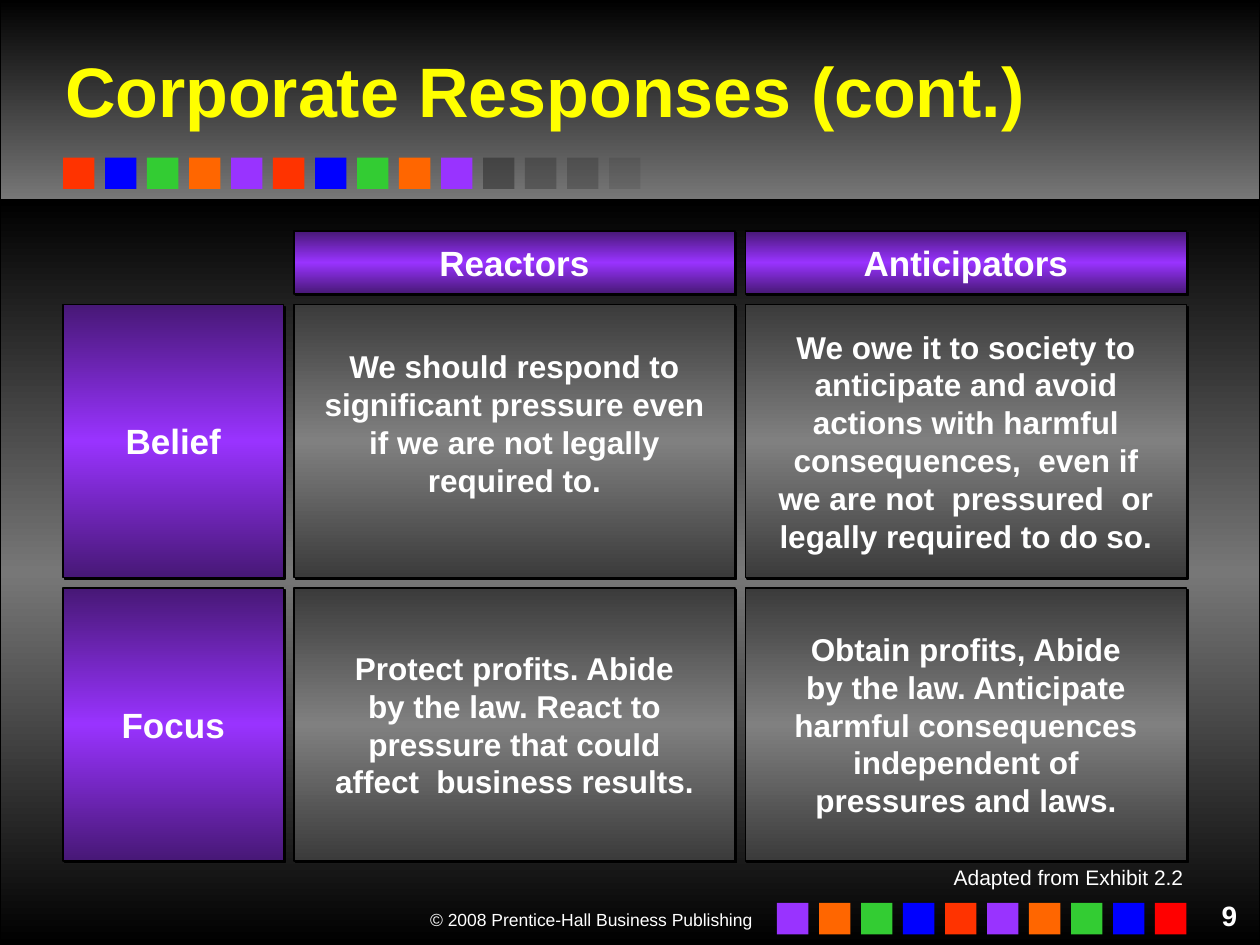
from dataclasses import dataclass

from lxml.etree import SubElement
from pptx import Presentation
from pptx.dml.color import RGBColor as Rgb
from pptx.enum.shapes import MSO_SHAPE as Preset
from pptx.enum.text import MSO_ANCHOR as Anchor, PP_ALIGN as Align
from pptx.oxml.ns import qn
from pptx.util import Cm, Pt


@dataclass(frozen=True)
class Theme:
    """Colours, font and type sizes of the slide."""
    font: str = "Arial"
    black: str = "000000"
    white: str = "FFFFFF"
    title: str = "FFFF00"
    faded: str = "292929"
    last_square: str = "FF0000"
    squares: tuple = ("FF3300", "0000FF", "33CC33", "FF6600", "9933FF")
    band: tuple = ("000000", "777777")
    backdrop: tuple = ("000000", "777777", "000000")
    heading: tuple = ("471876", "9933FF", "471876")
    body: tuple = ("3B3B3B", "808080", "3B3B3B")
    title_size: int = 40
    heading_size: int = 20
    body_size: int = 18
    number_size: int = 16
    source_size: int = 12
    copyright_size: int = 10


THEME = Theme()
COLUMNS = ((6, 21), (28, 42), (71, 42))
ROWS = ((22, 6), (29, 26), (56, 26))
FADES = (50, 35, 30, 15)
RESPONSES = (
    ("", "Reactors", "Anticipators"),
    ("Belief",
     "We should respond to\nsignificant pressure even\nif we are not legally\nrequired to.",
     "We owe it to society to\nanticipate and avoid\nactions with harmful\n"
     "consequences,  even if\nwe are not  pressured  or\nlegally required to do so."),
    ("Focus",
     "Protect profits. Abide\nby the law. React to\npressure that could\n"
     "affect  business results.",
     "Obtain profits, Abide\nby the law. Anticipate\nharmful consequences\n"
     "independent of\npressures and laws."),
)


def grid(*steps):
    """Turn counts of the slide's grid step into lengths."""
    return [Cm(step * 2.54 / 12) for step in steps]


def write(frame, text, size, color=THEME.white, bold=True, align=Align.CENTER):
    """Set the text of a frame and format every run."""
    frame.text = text
    for paragraph in frame.paragraphs:
        paragraph.alignment = align
        for run in paragraph.runs:
            run.font.name = THEME.font
            run.font.size = Pt(size)
            run.font.bold = bold
            run.font.color.rgb = Rgb.from_string(color)


def add_drop_shadow(effects):
    """Add a short black shadow to an effect list."""
    shadow = SubElement(effects, qn("a:outerShdw"), dist=str(Pt(1.4)), dir="2700000")
    SubElement(shadow, qn("a:srgbClr"), val=THEME.black)


def add_rectangle(slide, left, top, width, height):
    """Add a plain rectangle placed by grid steps."""
    rectangle = slide.shapes.add_shape(Preset.RECTANGLE, *grid(left, top, width, height))
    rectangle.shadow.inherit = False
    return rectangle


def add_panel(slide, place, colors):
    """Add a black-edged rectangle with an even vertical gradient."""
    panel = add_rectangle(slide, *place)
    panel.fill.gradient()
    panel.fill.gradient_angle = 270
    stops = panel.element.spPr.find(f".//{qn('a:gsLst')}")
    stops.clear()
    for index, color in enumerate(colors):
        position = 100000 * index // (len(colors) - 1)
        stop = SubElement(stops, qn("a:gs"), pos=str(position))
        SubElement(stop, qn("a:srgbClr"), val=color)
    panel.line.color.rgb = Rgb.from_string(THEME.black)
    panel.line.width = Pt(0.75)
    return panel


def add_cell(slide, place, text, colors, size):
    """Add one shadowed cell of the comparison."""
    cell = add_panel(slide, place, colors)
    add_drop_shadow(cell.element.spPr.find(qn("a:effectLst")))
    frame = cell.text_frame
    frame.word_wrap = False
    frame.vertical_anchor = Anchor.MIDDLE
    frame.margin_top = frame.margin_bottom = 0
    write(frame, text, size)
    return cell


def add_comparison(slide):
    """Lay out the headings and answers and return the cells by row and column."""
    cells = {}
    for row, (top, height) in enumerate(ROWS):
        for column, (left, width) in enumerate(COLUMNS):
            text = RESPONSES[row][column]
            if not text:
                continue
            is_heading = row == 0 or column == 0
            colors = THEME.heading if is_heading else THEME.body
            size = THEME.heading_size if is_heading else THEME.body_size
            place = (left, top, width, height)
            cells[row, column] = add_cell(slide, place, text, colors, size)
    return cells


def add_squares(slide, left, top, colors, opacities):
    """Add an evenly spaced row of small squares."""
    for index, (color, opacity) in enumerate(zip(colors, opacities)):
        square = add_rectangle(slide, left + 4 * index, top, 3, 3)
        square.fill.solid()
        square.fill.fore_color.rgb = Rgb.from_string(color)
        square.line.fill.background()
        if opacity < 100:
            tint = square.element.spPr.find(f"{qn('a:solidFill')}/{qn('a:srgbClr')}")
            SubElement(tint, qn("a:alpha"), val=str(opacity * 1000))


def add_note(slide, place, text, size, bold=False):
    """Add a right-aligned line of small text."""
    frame = slide.shapes.add_textbox(*grid(*place)).text_frame
    frame.word_wrap = True
    write(frame, text, size, bold=bold, align=Align.RIGHT)
    return frame.paragraphs[0]


def set_title(slide, text):
    """Place and format the title above the backdrop."""
    title = slide.shapes.title
    title.element.getparent().append(title.element)
    title.left, title.top, title.width, title.height = grid(5, 3, 109, 11)
    frame = title.text_frame
    frame.vertical_anchor = Anchor.MIDDLE
    write(frame, text, THEME.title_size, THEME.title, align=Align.LEFT)
    properties = frame.paragraphs[0].runs[0].font.fill
    properties.solid()
    properties.fore_color.rgb = Rgb.from_string(THEME.title)
    fill = title.element.find(f".//{qn('a:rPr')}/{qn('a:solidFill')}")
    effects = SubElement(fill.getparent(), qn("a:effectLst"))
    fill.addnext(effects)
    add_drop_shadow(effects)


def main():
    """Build and save the slide."""
    deck = Presentation()
    deck.slide_width, deck.slide_height = grid(120, 90)
    slide = deck.slides.add_slide(deck.slide_layouts[5])

    add_panel(slide, (0, 0, 120, 19), THEME.band)
    add_panel(slide, (0, 19, 120, 71), THEME.backdrop)
    add_note(slide, (35, 86, 37.8, 3.2), "© 2008 Prentice-Hall Business Publishing",
             THEME.copyright_size)
    header_colors = THEME.squares * 2 + (THEME.faded,) * len(FADES)
    add_squares(slide, 6, 15, header_colors, (100,) * 10 + FADES)
    footer_colors = (THEME.squares[::-1] * 2)[:-1] + (THEME.last_square,)
    add_squares(slide, 74, 86, footer_colors, (100,) * 10)
    add_note(slide, (113, 85, 6, 2), "9", THEME.number_size, bold=True)
    set_title(slide, "Corporate Responses (cont.)")

    cells = add_comparison(slide)
    cells[1, 1].text_frame.margin_bottom = Cm(0.73)
    source = add_note(slide, (85, 82, 28.9, 3.4), "Adapted from Exhibit 2.2",
                      THEME.source_size)
    source.line_spacing = 0.9
    deck.save("out.pptx")


if __name__ == "__main__":
    main()
